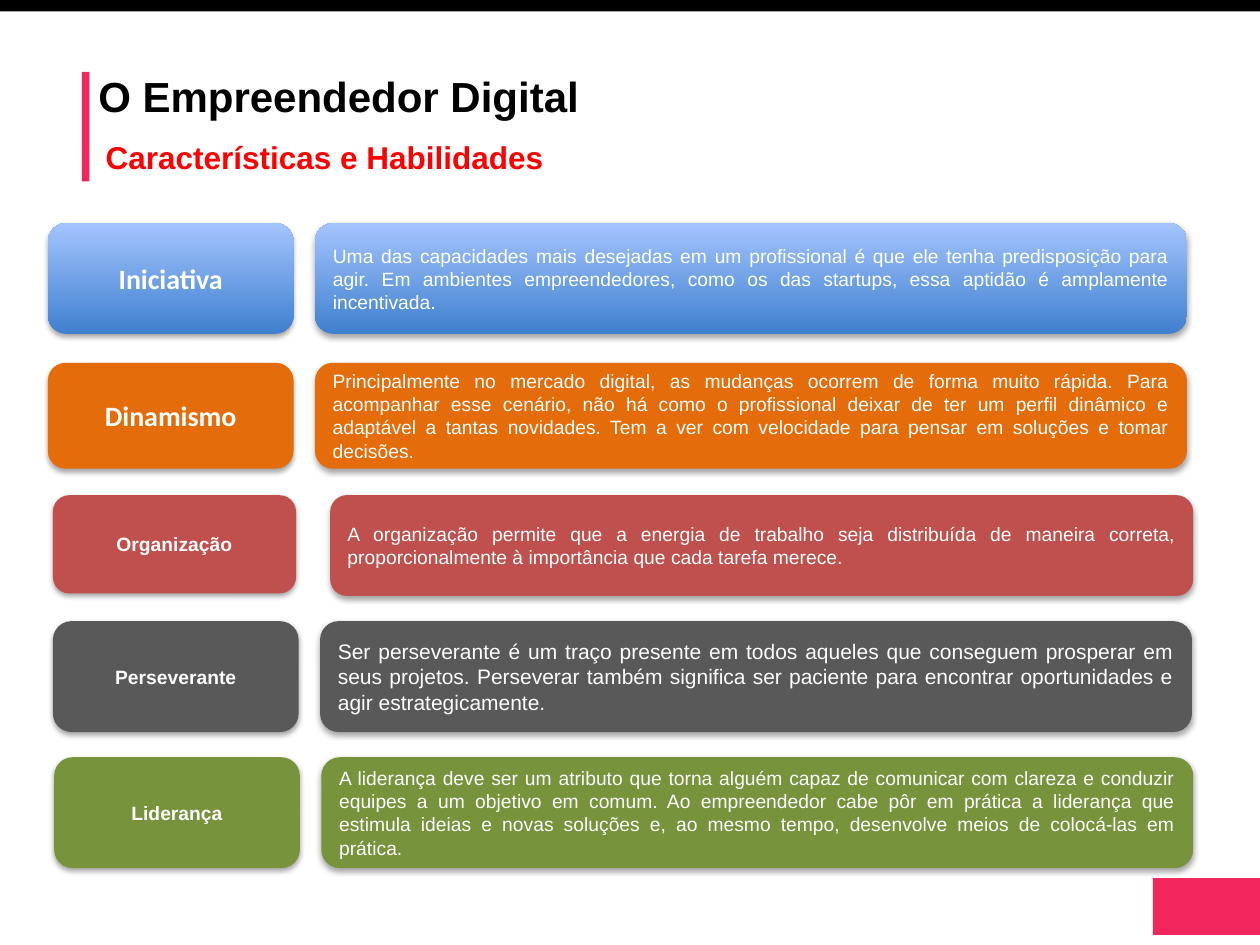
from lxml import etree
from pptx import Presentation
from pptx.dml.color import RGBColor
from pptx.enum.shapes import MSO_SHAPE
from pptx.enum.text import MSO_ANCHOR, MSO_AUTO_SIZE, PP_ALIGN
from pptx.oxml.ns import qn
from pptx.util import Inches, Pt

RECT, ROUNDED = MSO_SHAPE.RECTANGLE, MSO_SHAPE.ROUNDED_RECTANGLE
TOP, MIDDLE = MSO_ANCHOR.TOP, MSO_ANCHOR.MIDDLE
LEFT, CENTER, JUSTIFY = PP_ALIGN.LEFT, PP_ALIGN.CENTER, PP_ALIGN.JUSTIFY
FIT_SHAPE = MSO_AUTO_SIZE.SHAPE_TO_FIT_TEXT

WIDTH, HEIGHT = 10, 7.5
COLORS = {
    "pink": "F0265D", "black": "000000", "red": "FF0000", "white": "FFFFFF",
    "blue": "3F80CE", "sky": "A4C4FF", "orange": "E46C0A",
    "brick": "C0504D", "gray": "595959", "green": "77933C",
}
TITLE = "O Empreendedor Digital"
SUBTITLE = "Características e Habilidades"
ACCENTS = [
    ("pink", (9.15, 6.97, 0.86, 0.45)),
    ("black", (0, 0, WIDTH, 0.09)),
    ("pink", (0.65, 0.57, 0.06, 0.87)),
]
LARGE_NAME = {"name": "Calibri", "size": Pt(16), "bold": True}
SMALL_NAME = {"name": "Arial", "size": Pt(11), "bold": True}
BODY = {"name": "Arial", "size": Pt(11), "bold": False}
LARGE_BODY = {**BODY, "size": Pt(12)}

NAME_WIDTH, BODY_WIDTH, BODY_OFFSET, ROW_HEIGHT = 1.95, 6.92, 2.12, 0.88
SKILLS = [
    {"name": "Iniciativa", "fill": ("blue", "sky"), "left": 0.38, "top": 1.77,
     "name_font": LARGE_NAME,
     "body": "Uma das capacidades mais desejadas em um profissional é que ele tenha "
             "predisposição para agir. Em ambientes empreendedores, como os "
             "das startups, essa aptidão é amplamente incentivada."},
    {"name": "Dinamismo", "fill": ("orange",), "left": 0.38, "top": 2.88,
     "name_font": LARGE_NAME, "heights": (0.84, 0.84),
     "body": "Principalmente no mercado digital, as mudanças ocorrem de forma muito "
             "rápida. Para acompanhar esse cenário, não há como o profissional deixar "
             "de ter um perfil dinâmico e adaptável a tantas novidades. Tem a ver com "
             "velocidade para pensar em soluções e tomar decisões."},
    {"name": "Organização", "fill": ("brick",), "left": 0.42, "top": 3.93,
     "heights": (0.78, 0.8), "widths": (1.93, 6.85), "offset": 2.2,
     "body": "A organização permite que a energia de trabalho seja distribuída de "
             "maneira correta, proporcionalmente à importância que cada tarefa merece."},
    {"name": "Perseverante", "fill": ("gray",), "left": 0.42, "top": 4.93,
     "body_font": LARGE_BODY,
     "body": "Ser perseverante é um traço presente em todos aqueles que conseguem "
             "prosperar em seus projetos. Perseverar também significa ser paciente para "
             "encontrar oportunidades e agir estrategicamente."},
    {"name": "Liderança", "fill": ("green",), "left": 0.43, "top": 6.01,
     "body": "A liderança deve ser um atributo que torna alguém capaz de comunicar com "
             "clareza e conduzir equipes a um objetivo em comum. Ao empreendedor cabe "
             "pôr em prática a liderança que estimula ideias e novas soluções e, ao mesmo "
             "tempo, desenvolve meios de colocá-las em prática."},
]


def rgb(color):
    return RGBColor.from_string(COLORS[color])


def apply(target, values):
    for key, value in values.items():
        setattr(target, key, value)


def place(shape, box):
    apply(shape, dict(zip(("left", "top", "width", "height"), map(Inches, box))))


def write(shape, text, font, color, align, frame):
    apply(shape.text_frame, frame)
    paragraph = shape.text_frame.paragraphs[0]
    paragraph.alignment = align
    run = paragraph.add_run()
    run.text = text
    apply(run.font, font)
    run.font.color.rgb = rgb(color)


def paint(shape, fill):
    shape.shadow.inherit = False
    shape.line.fill.background()
    if len(fill) == 1:
        shape.fill.solid()
        shape.fill.fore_color.rgb = rgb(fill[0])
        return
    shape.fill.gradient()
    shape.fill.gradient_angle = 90
    for stop, color, position in zip(shape.fill.gradient_stops, fill, (0, 1)):
        stop.color.rgb = rgb(color)
        stop.position = position


def cast_shadow(shape):
    effects = shape._element.spPr.find(qn("a:effectLst"))
    shadow = etree.SubElement(effects, qn("a:outerShdw"), blurRad=str(Pt(3.1)),
                              dist=str(Pt(1.8)), dir="5400000", rotWithShape="0")
    color = etree.SubElement(shadow, qn("a:srgbClr"), val=COLORS["black"])
    etree.SubElement(color, qn("a:alpha"), val="35000")


def add_skill(slide, skill):
    left, top = skill["left"], skill["top"]
    lefts = left, left + skill.get("offset", BODY_OFFSET)
    widths = skill.get("widths", (NAME_WIDTH, BODY_WIDTH))
    heights = skill.get("heights", (ROW_HEIGHT, ROW_HEIGHT))
    texts = (
        (skill["name"], skill.get("name_font", SMALL_NAME), CENTER),
        (skill["body"], skill.get("body_font", BODY), JUSTIFY),
    )
    group = slide.shapes.add_group_shape()
    for x, width, height, (text, font, align) in zip(lefts, widths, heights, texts):
        card = group.shapes.add_shape(ROUNDED, *map(Inches, (x, top, width, height)))
        paint(card, skill["fill"])
        cast_shadow(card)
        write(card, text, font, "white", align,
              {"word_wrap": True, "vertical_anchor": MIDDLE})


def main():
    deck = Presentation()
    deck.slide_width, deck.slide_height = Inches(WIDTH), Inches(HEIGHT)
    slide = deck.slides.add_slide(deck.slide_layouts[5])
    for color, box in ACCENTS:
        accent = slide.shapes.add_shape(RECT, *map(Inches, box))
        paint(accent, (color,))

    heading_frame = {"word_wrap": False, "auto_size": FIT_SHAPE, "vertical_anchor": TOP}
    title = slide.shapes.title
    place(title, (0.68, 0.51, 4.05, 0.5))
    write(title, TITLE, {**SMALL_NAME, "size": Pt(24)}, "black", LEFT, heading_frame)
    subtitle = slide.shapes.add_textbox(*map(Inches, (0.74, 1.05, 3.71, 0.4)))
    write(subtitle, SUBTITLE, {**SMALL_NAME, "size": Pt(18)}, "red", LEFT, heading_frame)

    for skill in SKILLS:
        add_skill(slide, skill)
    deck.save("out.pptx")


if __name__ == "__main__":
    main()
